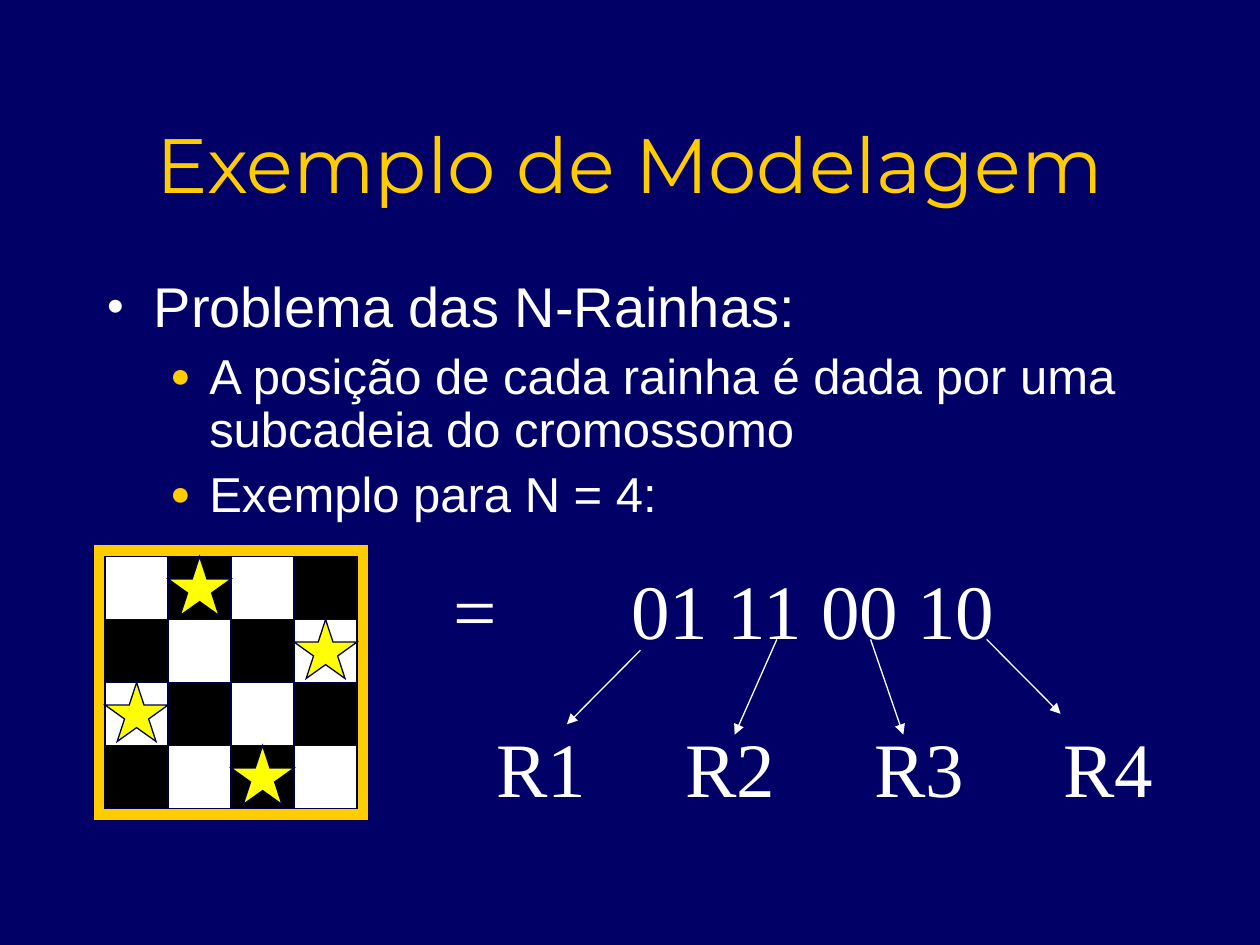
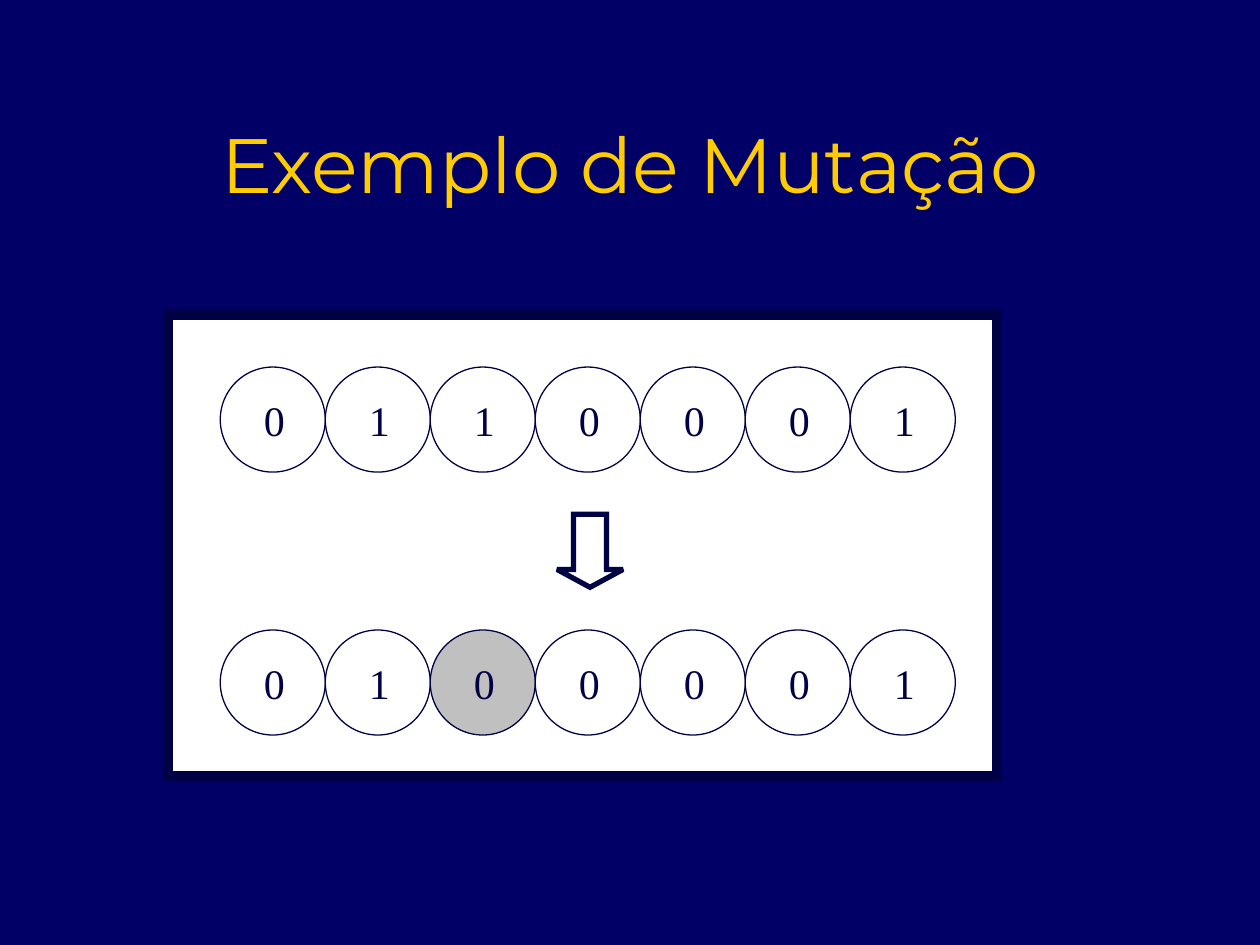
from dataclasses import dataclass

from lxml.etree import SubElement
from pptx import Presentation
from pptx.dml.color import RGBColor as RGB
from pptx.enum.shapes import MSO_CONNECTOR as Conn, MSO_SHAPE as Shape
from pptx.enum.text import (MSO_ANCHOR as Anchor, MSO_AUTO_SIZE as AutoSize,
                            PP_ALIGN as Align)
from pptx.oxml.ns import qn
from pptx.util import Cm, Pt


@dataclass(frozen=True)
class Theme:
    background: RGB = RGB(0, 0, 0x66)
    ink: RGB = RGB(0, 0, 0x44)
    gold: RGB = RGB(0xFF, 0xCC, 0)
    queen: RGB = RGB(0xFF, 0xFF, 0)
    white: RGB = RGB(0xFF, 0xFF, 0xFF)
    black: RGB = RGB(0, 0, 0)
    mutated: RGB = RGB(0xC0, 0xC0, 0xC0)
    title_font: str = "Montserrat"
    body_font: str = "Arial"
    code_font: str = "Times New Roman"
    title_size: int = 44
    topic_size: int = 32
    point_size: int = 28
    code_size: int = 44
    bit_size: int = 24
    thin: float = 0.75
    medium: float = 3
    thick: float = 6


T = Theme()

TITLE = dict(name=T.title_font, size=Pt(T.title_size), color=T.gold)
TOPIC = dict(name=T.body_font, size=Pt(T.topic_size), color=T.white)
POINT = dict(name=T.body_font, size=Pt(T.point_size), color=T.white)
CODE = dict(name=T.code_font, size=Pt(T.code_size), color=T.white)
BIT = dict(name=T.code_font, size=Pt(T.bit_size), color=T.ink)

TOPIC_PARA = dict(line_spacing=0.9, space_before=Pt(8))
POINT_PARA = dict(line_spacing=0.9, space_before=Pt(7), level=1)
TOPIC_BULLET = dict(char="•", color=T.white, percent=85, left=0.94, hang=0.94)
POINT_BULLET = dict(char="●", color=T.gold, percent=70, left=2.06, hang=0.79)

QUEEN_COLUMNS = [1, 3, 0, 2]


def cm(*lengths):
    return [Cm(v) for v in lengths]


def set_attrs(obj, values):
    for name, value in values.items():
        setattr(obj, name, value)


def add_run(p, text, style):
    r = p.add_run()
    r.text = text
    set_attrs(r.font, {k: v for k, v in style.items() if k != "color"})
    r.font.color.rgb = style["color"]


def add_text(shapes, box, text, style, align=Align.LEFT, **frame):
    tf = shapes.add_textbox(*cm(*box)).text_frame
    set_attrs(tf, dict(word_wrap=True) | frame)
    p = tf.paragraphs[0]
    p.alignment = align
    add_run(p, text, style)
    return p


def add_figure(shapes, kind, box, fill, line=T.ink, width=T.thin):
    """Add a flat preset shape; line=None leaves it without an outline."""
    sp = shapes.add_shape(kind, *cm(*box))
    sp.shadow.inherit = False
    sp.fill.solid()
    sp.fill.fore_color.rgb = fill
    if line is None:
        sp.line.fill.background()
    else:
        sp.line.color.rgb = line
        sp.line.width = Pt(width)
        SubElement(sp.line._get_or_add_ln(), qn("a:miter"), lim="800000")
    return sp


def add_arrow(shapes, start, end):
    cxn = shapes.add_connector(Conn.STRAIGHT, *cm(*start, *end))
    cxn.line.color.rgb = T.white
    cxn.line.width = Pt(T.thin)
    SubElement(cxn.line._get_or_add_ln(), qn("a:tailEnd"), type="triangle")
    SubElement(cxn._element.spPr, qn("a:effectLst"))


def add_bullet(p, char, color, percent, left, hang):
    pPr = p._p.get_or_add_pPr()
    pPr.set("marL", str(Cm(left)))
    pPr.set("indent", str(-Cm(hang)))
    SubElement(SubElement(pPr, qn("a:buClr")), qn("a:srgbClr"), val=str(color))
    SubElement(pPr, qn("a:buSzPct"), val=str(percent * 1000))
    SubElement(pPr, qn("a:buFont"), typeface=T.body_font)
    SubElement(pPr, qn("a:buChar"), char=char)


def add_tab_stop(p, position):
    tabs = SubElement(p._p.get_or_add_pPr(), qn("a:tabLst"))
    SubElement(tabs, qn("a:tab"), pos=str(Cm(position)), algn="l")


def add_titled_slide(prs, title):
    s = prs.slides.add_slide(prs.slide_layouts[6])
    add_text(s.shapes, (1.91, 2.21, 21.59, 2.13), title, TITLE, Align.CENTER,
             vertical_anchor=Anchor.MIDDLE)
    return s


def add_outline(s, box, topic, points):
    tf = s.shapes.add_textbox(*cm(*box)).text_frame
    tf.word_wrap = True
    rows = [(topic, TOPIC, TOPIC_PARA, TOPIC_BULLET)]
    rows += [(point, POINT, POINT_PARA, POINT_BULLET) for point in points]
    for i, (text, style, para, bullet) in enumerate(rows):
        p = tf.add_paragraph() if i else tf.paragraphs[0]
        set_attrs(p, para)
        add_bullet(p, **bullet)
        add_run(p, text, style)


def add_board(s, box, queen_columns):
    """Draw a chessboard with one queen in each row."""
    left, top, width, height = box
    cell, margin, n = 1.27, 0.21, len(queen_columns)
    shapes = s.shapes.add_group_shape().shapes
    add_figure(shapes, Shape.RECTANGLE, box, T.gold, T.gold)

    def corner(row, col):
        return left + margin + col * cell, top + margin + row * cell

    for row in range(n):
        for col in range(n):
            fill = T.black if (row + col) % 2 else T.white
            add_figure(shapes, Shape.RECTANGLE,
                       (*corner(row, col), cell, cell), fill)
    for row, col in enumerate(queen_columns):
        add_figure(shapes, Shape.STAR_5_POINT,
                   (*corner(row, col), cell, 1.19), T.queen)


def add_chromosome(s, box, queen_columns):
    """Write the queens' columns in binary and point each gene to its queen."""
    left, top, width, height = box
    genes = " ".join(f"{col:02b}" for col in queen_columns)
    p = add_text(s.shapes, (left, top, 11.7, 2.13), f"=\t{genes}", CODE)
    add_tab_stop(p, 3.59)

    shapes = s.shapes.add_group_shape().shapes
    for i in range(len(queen_columns)):
        add_text(shapes, (left + 0.86 + i * 3.81, top + height - 2.13, 2.4, 2.13),
                 f"R{i + 1}", CODE, word_wrap=False,
                 auto_size=AutoSize.SHAPE_TO_FIT_TEXT)
    arrows = [((4.02, 1.89), (2.54, 3.38)), ((6.77, 1.67), (5.92, 3.59)),
              ((8.66, 1.67), (9.32, 3.59)), ((11, 1.67), (12.49, 3.17))]
    for (x1, y1), (x2, y2) in arrows:
        add_arrow(shapes, (left + x1, top + y1), (left + x2, top + y2))


def add_bit_row(shapes, left, top, bits, mutated=None):
    pitch = 12.7 / 6
    for i, bit in enumerate(bits):
        x = left + i * pitch
        fill = T.mutated if i == mutated else T.white
        add_figure(shapes, Shape.OVAL, (x, top, pitch, pitch), fill)
        label = add_figure(shapes, Shape.RECTANGLE,
                           (x + 0.63, top + 0.42, 0.84, 1.27), fill, None)
        tf = label.text_frame
        tf.vertical_anchor = Anchor.TOP
        p = tf.paragraphs[0]
        p.alignment = Align.CENTER
        add_run(p, bit, BIT)


def add_mutation(s, box, before, after):
    left, top, width, height = box
    mutated = next(i for i, (a, b) in enumerate(zip(before, after)) if a != b)
    shapes = s.shapes.add_group_shape().shapes
    add_figure(shapes, Shape.RECTANGLE, box, T.white, width=T.thick)
    add_bit_row(shapes, left + 1.05, top + 1.05, before)
    add_bit_row(shapes, left + 1.05, top + 6.35, after, mutated)
    arrow = add_figure(s.shapes, Shape.DOWN_ARROW,
                       (left + 7.84, top + 4.02, 1.33, 1.47),
                       T.white, width=T.medium)
    arrow.adjustments[0] = 0.5
    arrow.adjustments[1] = 0.27


def build_modelling_slide(prs):
    s = add_titled_slide(prs, "Exemplo de Modelagem")
    add_outline(s, (1.91, 5.51, 21.59, 5.51), "Problema das N-Rainhas:", [
        "A posição de cada rainha é dada por uma subcadeia do cromossomo",
        "Exemplo para N = 4:"])
    add_board(s, (1.91, 11.01, 5.5, 5.5), QUEEN_COLUMNS)
    add_chromosome(s, (8.89, 11.22, 14.6, 5.31), QUEEN_COLUMNS)


def build_mutation_slide(prs):
    s = add_titled_slide(prs, "Exemplo de Mutação")
    add_mutation(s, (3.39, 6.35, 16.71, 9.3), "0110001", "0100001")


def main():
    prs = Presentation()
    prs.slide_width, prs.slide_height = cm(25.4, 19.05)
    fill = prs.slide_master.background.fill
    fill.solid()
    fill.fore_color.rgb = T.background
    build_modelling_slide(prs)
    build_mutation_slide(prs)
    prs.save("out.pptx")


if __name__ == "__main__":
    main()
